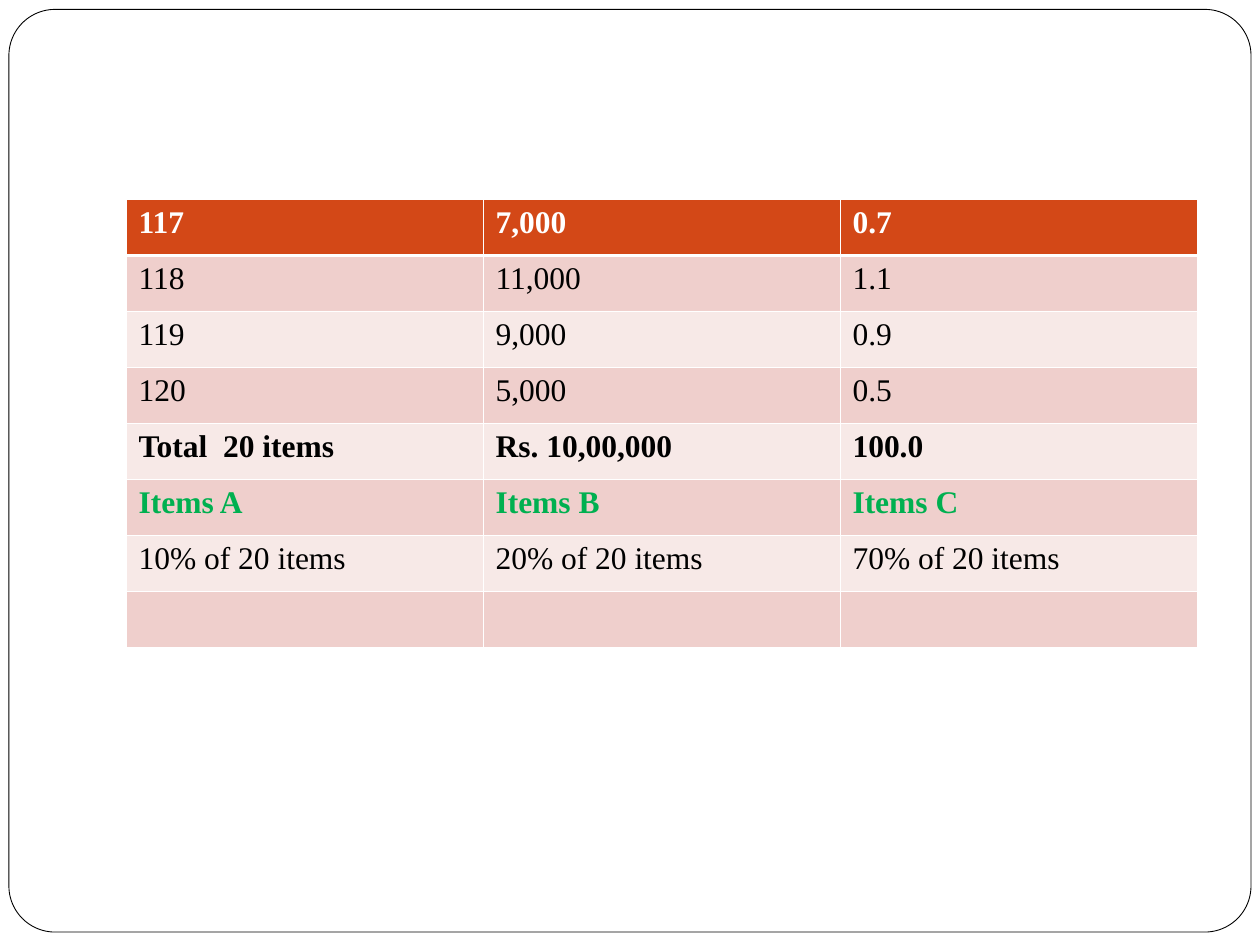
"""Build a slide with an item value table inside a rounded frame."""
from lxml.etree import SubElement
from pptx import Presentation
from pptx.dml.color import RGBColor
from pptx.enum.shapes import MSO_SHAPE as Shape
from pptx.oxml.ns import qn
from pptx.util import Cm, Pt

WHITE = RGBColor(0xFF, 0xFF, 0xFF)
BLACK = RGBColor(0x00, 0x00, 0x00)
ORANGE = RGBColor(0xD3, 0x48, 0x17)
ROSE = RGBColor(0xEF, 0xCF, 0xCC)
PALE_ROSE = RGBColor(0xF7, 0xE9, 0xE7)
GREEN = RGBColor(0x00, 0xB0, 0x50)

ITEM_ROWS = [
    (("117", "7,000", "0.7"), WHITE, True),
    (("118", "11,000", "1.1"), BLACK, False),
    (("119", "9,000", "0.9"), BLACK, False),
    (("120", "5,000", "0.5"), BLACK, False),
    (("Total  20 items", "Rs. 10,00,000", "100.0"), BLACK, True),
    (("Items A", "Items B", "Items C"), GREEN, True),
    (("10% of 20 items", "20% of 20 items", "70% of 20 items"), BLACK, False),
    (("", "", ""), BLACK, False),
]


class SlideBuilder:
    font = "Times New Roman"
    size = Pt(18)
    thin = Pt(0.45)
    thick = Pt(1.47)

    def __init__(self, slide):
        self.slide = slide

    def frame(self, left, top, width, height):
        shape = self.slide.shapes.add_shape(
            Shape.ROUNDED_RECTANGLE, Cm(left), Cm(top), Cm(width), Cm(height))
        shape.adjustments[0] = 0.05
        shape.shadow.inherit = False
        shape.fill.solid()
        shape.fill.fore_color.rgb = WHITE
        shape.line.color.rgb = BLACK
        shape.line.width = Pt(0.5)

    def border(self, cell, side, width):
        properties = cell._tc.get_or_add_tcPr()
        line = SubElement(properties, qn(f"a:ln{side}"), w=str(int(width)))
        fill = SubElement(line, qn("a:solidFill"))
        SubElement(fill, qn("a:srgbClr"), val=str(WHITE))

    def cell(self, cell, text, color, bold, row):
        for side in "LRTB":
            under_header = (row, side) in ((0, "B"), (1, "T"))
            self.border(cell, side, self.thick if under_header else self.thin)
        cell.fill.solid()
        cell.fill.fore_color.rgb = (
            ORANGE if row == 0 else ROSE if row % 2 else PALE_ROSE)
        paragraph = cell.text_frame.paragraphs[0]
        paragraph.font.size = self.size
        if text:
            run = paragraph.add_run()
            run.text = text
            run.font.name = self.font
            run.font.size = self.size
            run.font.bold = bold
            run.font.color.rgb = color

    def table(self, rows, left, top, width, row_height):
        table = self.slide.shapes.add_table(
            len(rows), len(rows[0][0]), Cm(left), Cm(top),
            Cm(width), Cm(row_height * len(rows))).table
        for row, (texts, color, bold) in enumerate(rows):
            for column, text in enumerate(texts):
                self.cell(table.cell(row, column), text, color, bold, row)


def main():
    presentation = Presentation()
    presentation.slide_width = Cm(25.4)
    presentation.slide_height = Cm(19.05)
    blank_layout = presentation.slide_layouts[6]
    builder = SlideBuilder(presentation.slides.add_slide(blank_layout))
    builder.frame(0.18, 0.19, 25.04, 18.6)
    builder.table(ITEM_ROWS, 2.54, 4.02, 21.59, 1.13)
    presentation.save("out.pptx")


if __name__ == "__main__":
    main()
